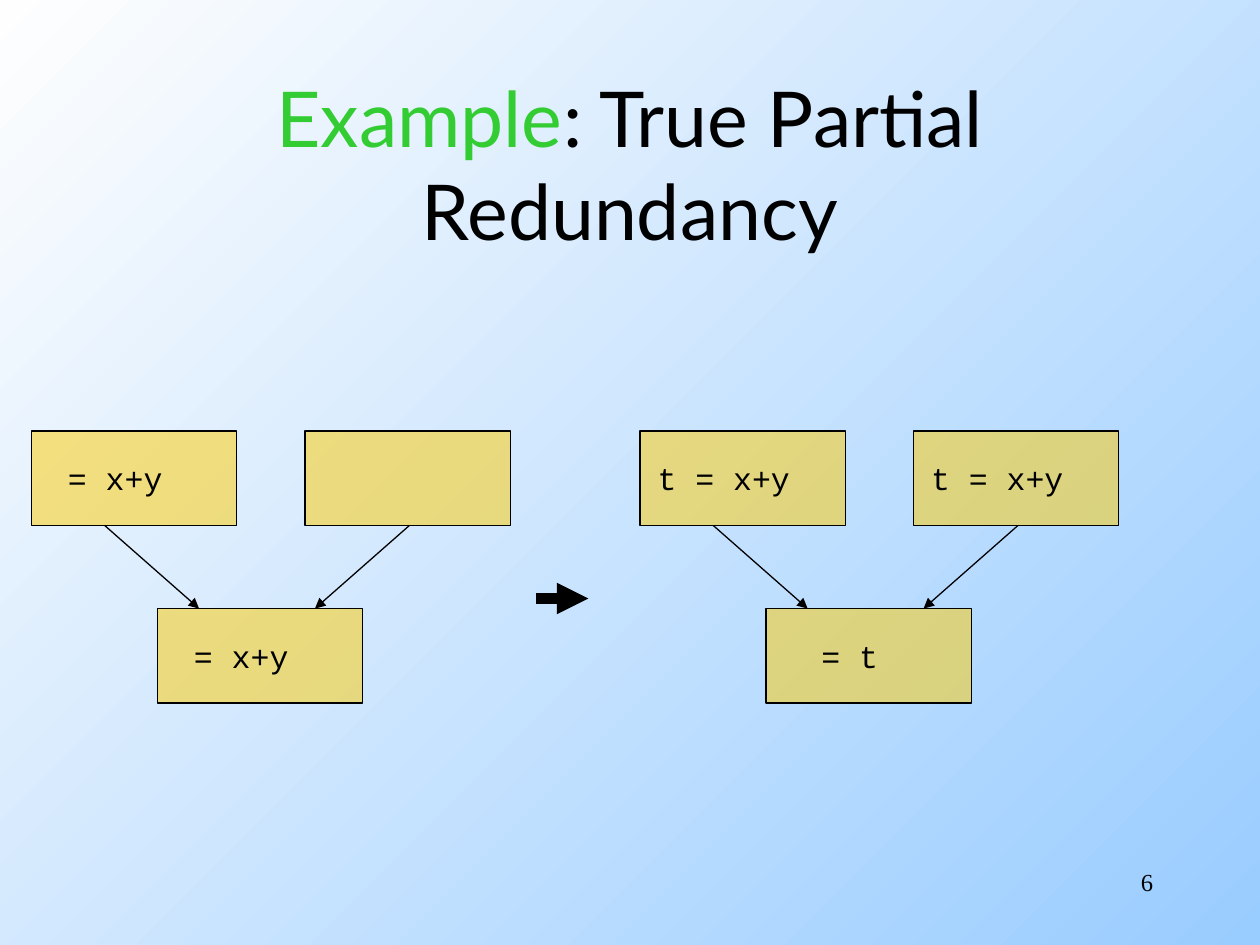
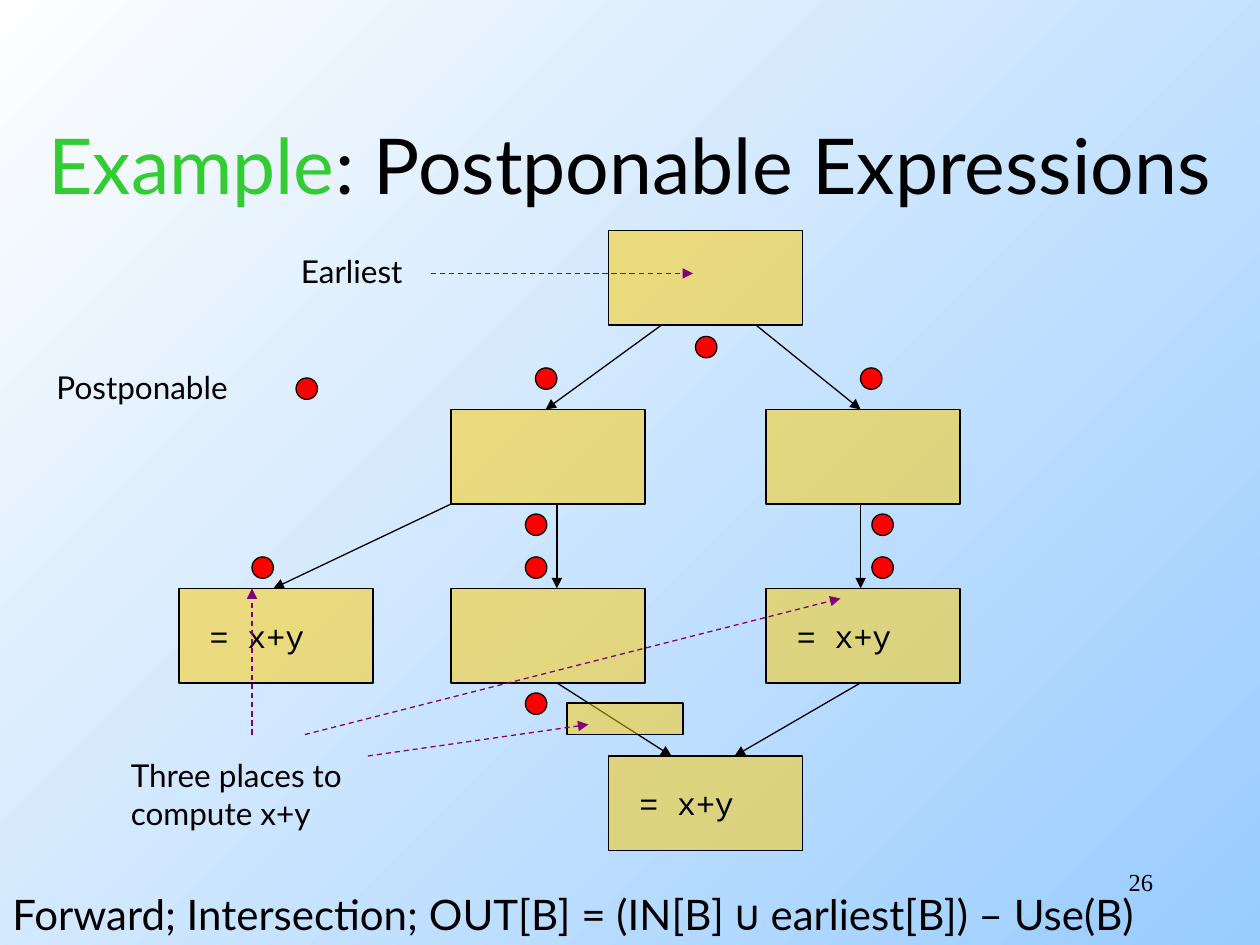
from lxml.etree import SubElement
from pptx import Presentation
from pptx.dml.color import RGBColor
from pptx.enum.dml import MSO_LINE
from pptx.enum.shapes import MSO_CONNECTOR, MSO_SHAPE
from pptx.enum.text import MSO_ANCHOR, MSO_AUTO_SIZE, PP_ALIGN
from pptx.oxml.ns import qn
from pptx.util import Inches, Pt

BLACK = "000000"
GREEN = "33CC33"
GOLD = "FFCC00"
RED = "FF0000"
PURPLE = "800080"
SKY = "99CCFF"
WHITE = "FEFEFE"
SANS = "Lato"
CODE = "Courier New"
SERIF = "Times New Roman"
SYMBOL = "DejaVu Sans Mono"
BLOCK_HEIGHT = 0.75


def rgb(value):
    """Turn a hex string into a colour."""
    return RGBColor.from_string(value)


class FlowDeck:
    """Hold the shared style and the current page."""

    def __init__(self):
        """Open an empty deck of 10 by 7.5 inches."""
        self.deck = Presentation()
        self.deck.slide_width = Inches(10)
        self.deck.slide_height = Inches(7.5)
        self.page = None

    def start_page(self, topic, title_left, title_width):
        """Add a page with the gradient background and the two-colour title."""
        self.page = self.deck.slides.add_slide(self.deck.slide_layouts[6])
        fill = self.page.background.fill
        fill.gradient()
        fill.gradient_angle = 135
        for stop, color, position in zip(fill.gradient_stops, (SKY, WHITE), (0, 1)):
            stop.color.rgb = rgb(color)
            stop.position = position
        box = self.text(title_left, 0.67, title_width, 1.25, "", 44, align=PP_ALIGN.CENTER)
        box.text_frame.vertical_anchor = MSO_ANCHOR.MIDDLE
        paragraph = box.text_frame.paragraphs[0]
        for words, color in (("Example", GREEN), (f": {topic}", BLACK)):
            span = paragraph.add_run()
            span.text = words
            span.font.color.rgb = rgb(color)

    def style(self, paragraph, size, font, align=PP_ALIGN.LEFT):
        """Set the font and alignment of one paragraph."""
        paragraph.alignment = align
        paragraph.font.size = Pt(size)
        paragraph.font.name = font
        paragraph.font.color.rgb = rgb(BLACK)

    def text(self, left, top, width, height, words, size, font=SANS, align=PP_ALIGN.LEFT):
        """Add a wrapping text box with one paragraph per line."""
        box = self.page.shapes.add_textbox(
            Inches(left), Inches(top), Inches(width), Inches(height))
        frame = box.text_frame
        frame.word_wrap = True
        frame.text = words
        for paragraph in frame.paragraphs:
            self.style(paragraph, size, font, align)
        return box

    def label(self, left, top, width, height, words, size=18):
        """Add a text box that fits its unwrapped text."""
        box = self.text(left, top, width, height, words, size)
        box.text_frame.word_wrap = False
        box.text_frame.auto_size = MSO_AUTO_SIZE.SHAPE_TO_FIT_TEXT
        return box

    def outlined(self, kind, left, top, width, height, color):
        """Add a filled shape with a thin black outline."""
        shape = self.page.shapes.add_shape(
            kind, Inches(left), Inches(top), Inches(width), Inches(height))
        shape.shadow.inherit = False
        shape.fill.solid()
        shape.fill.fore_color.rgb = rgb(color)
        shape.line.color.rgb = rgb(BLACK)
        shape.line.width = Pt(0.75)
        return shape

    def block(self, left, top, width, code="", height=BLOCK_HEIGHT):
        """Add a translucent basic block with optional code."""
        box = self.outlined(MSO_SHAPE.RECTANGLE, left, top, width, height, GOLD)
        color = box.element.spPr.find(f"{qn('a:solidFill')}/{qn('a:srgbClr')}")
        SubElement(color, qn("a:alpha"), val="50000")
        if code:
            frame = box.text_frame
            frame.margin_right = Inches(0.4)
            frame.vertical_anchor = MSO_ANCHOR.MIDDLE
            frame.text = code
            self.style(frame.paragraphs[0], 18, CODE, PP_ALIGN.CENTER)

    def dot(self, left, top):
        """Add a red marker of a postponable point."""
        self.outlined(MSO_SHAPE.OVAL, left, top, 0.17, 0.17, RED)

    def arrow(self, x1, y1, x2, y2, color=BLACK, width=0.75, dashed=False):
        """Add a straight arrow."""
        line = self.page.shapes.add_connector(
            MSO_CONNECTOR.STRAIGHT, Inches(x1), Inches(y1), Inches(x2), Inches(y2))
        line.line.color.rgb = rgb(color)
        line.line.width = Pt(width)
        if dashed:
            line.line.dash_style = MSO_LINE.DASH
        SubElement(line.line._get_or_add_ln(), qn("a:tailEnd"), type="triangle")
        SubElement(line.element.spPr, qn("a:effectLst"))

    def pointer(self, x1, y1, x2, y2):
        """Add a dashed purple arrow from a label."""
        self.arrow(x1, y1, x2, y2, PURPLE, dashed=True)

    def number(self, value):
        """Add the page number."""
        self.text(7.17, 6.83, 2.08, 0.5, str(value), 14, SERIF, PP_ALIGN.RIGHT)


def build_redundancy(show):
    """Show the join before and after removing the redundancy."""
    show.start_page("True Partial Redundancy", 0.75, 8.5)
    show.arrow(4.25, 4.75, 4.67, 4.75, width=6)
    joins = ((0.25, "= x+y", "", "= x+y"), (5.08, "t = x+y", "t = x+y", "= t"))
    for left, first, second, merged in joins:
        show.block(left, 3.42, 1.63, first)
        show.block(left + 2.17, 3.42, 1.63, second)
        show.block(left + 1, 4.83, 1.63, merged)
        show.arrow(left + 0.58, 4.17, left + 1.33, 4.83)
        show.arrow(left + 3, 4.17, left + 2.25, 4.83)
    show.number(6)


def build_postponable(show):
    """Show the flow graph with its postponable points."""
    show.start_page("Postponable Expressions", 0, 10)
    blocks = (
        (1.42, 4.67, "= x+y"), (6.08, 4.67, "= x+y"), (4.83, 6, "= x+y"),
        (3.58, 4.67, ""), (4.83, 1.83, ""), (3.58, 3.25, ""), (6.08, 3.25, ""),
    )
    for left, top, code in blocks:
        show.block(left, top, 1.54, code)
    edges = (
        (5.25, 2.58, 4.33, 3.25), (6, 2.58, 6.83, 3.25),
        (4.42, 4, 4.42, 4.67), (6.83, 4, 6.83, 4.67),
        (4.42, 5.42, 5.33, 6), (6.83, 5.42, 5.83, 6), (3.58, 4, 2.17, 4.67),
    )
    for edge in edges:
        show.arrow(*edge)
    show.label(2.29, 1.95, 1.06, 0.4, "Earliest")
    show.pointer(3.42, 2.17, 5.5, 2.17)
    show.label(0.35, 2.87, 1.67, 0.4, "Postponable")
    dots = (
        (6.83, 2.92), (4.25, 2.92), (2.35, 3), (5.52, 2.67), (4.17, 4.08),
        (6.92, 4.08), (6.92, 4.42), (4.17, 4.42), (2, 4.42), (4.17, 5.5),
    )
    for left, top in dots:
        show.dot(left, top)
    show.label(0.94, 5.95, 1.99, 0.7, "Three places to\ncompute x+y")
    show.block(4.5, 5.58, 0.92, height=0.25)
    for start_x, start_y, end_x, end_y in (
            (2, 5.83, 2, 4.67), (2.42, 5.83, 6.67, 4.75), (2.92, 6, 4.67, 5.75)):
        show.pointer(start_x, start_y, end_x, end_y)
    formula = show.label(0, 7, 9.59, 0.5, "", 24).text_frame.paragraphs[0]
    pieces = (("Forward; Intersection; OUT[B] = (IN[B] ", SANS),
              ("∪", SYMBOL), (" earliest[B]) – Use(B)", SANS))
    for words, font in pieces:
        span = formula.add_run()
        span.text = words
        span.font.name = font
    show.number(26)


def main():
    """Build and save the deck."""
    show = FlowDeck()
    build_redundancy(show)
    build_postponable(show)
    show.deck.save("out.pptx")


if __name__ == "__main__":
    main()
